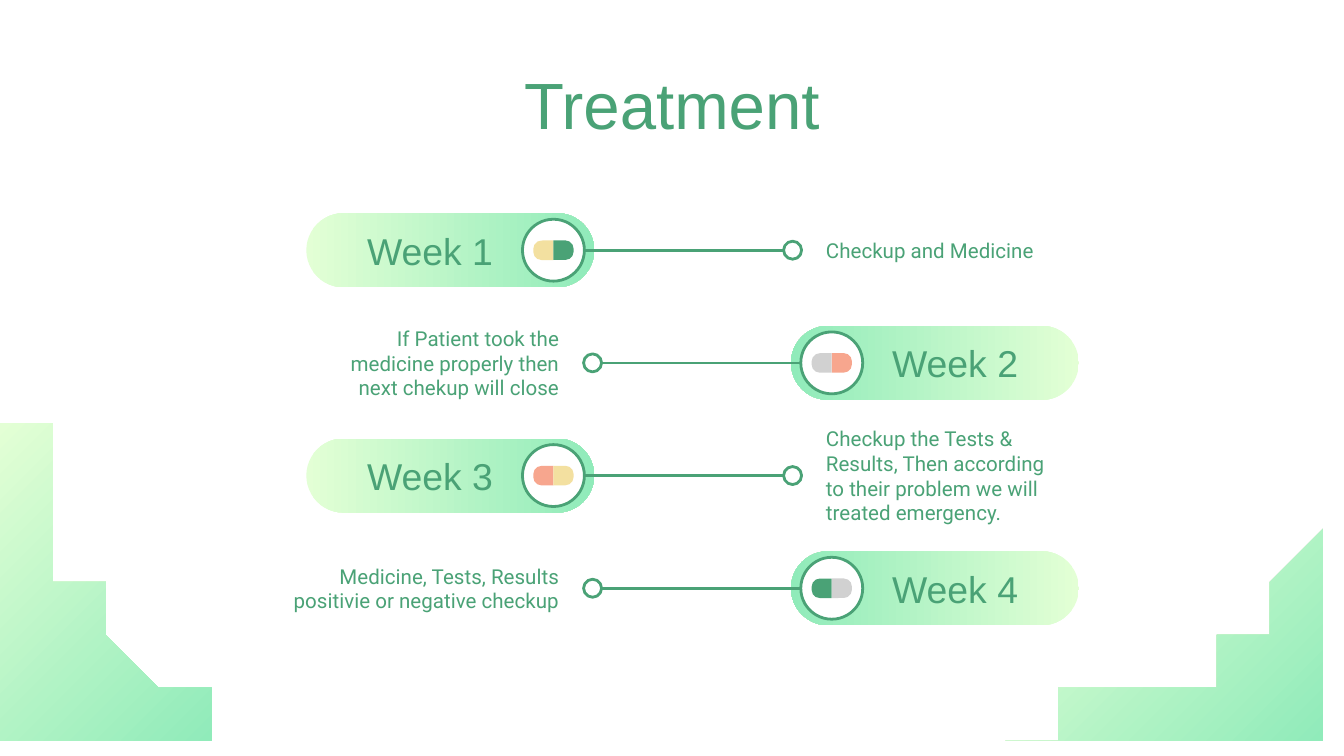
import pptx
import pptx.dml.color
import pptx.enum.shapes
import pptx.enum.text
import pptx.util
from lxml import etree

Cm = pptx.util.Cm
RGBColor = pptx.dml.color.RGBColor
Shape = pptx.enum.shapes.MSO_SHAPE
Align = pptx.enum.text.PP_ALIGN
Anchor = pptx.enum.text.MSO_ANCHOR

GREEN = RGBColor(0x4A, 0xA2, 0x76)
LIME = RGBColor(0xE3, 0xFF, 0xD5)
MINT = RGBColor(0x90, 0xEB, 0xBA)
WHITE = RGBColor(0xFF, 0xFF, 0xFF)
SAND = RGBColor(0xF3, 0xE0, 0xA0)
GREY = RGBColor(0xD1, 0xD1, 0xD1)
CORAL = RGBColor(0xF7, 0xA6, 0x8E)

WIDE, HIGH = 25.4, 14.29
AXIS = 13.09  # the weeks mirror each other about this x
TOP, PITCH = 4.73, 2.13
BAR = 1.4
STEPS = 16


def shade(shape, angle):
    """Fill from lime to mint, without outline or shadow."""
    shape.shadow.inherit = False
    shape.line.fill.background()
    shape.fill.gradient()
    shape.fill.gradient_angle = angle
    for stop, color in zip(shape.fill.gradient_stops, (LIME, MINT)):
        stop.color.rgb = color


def place(kind, x, y, w, h, fill=None, line=None):
    """Add a shape centred on x, y."""
    shape = slide.shapes.add_shape(kind, Cm(x - w / 2), Cm(y - h / 2), Cm(w), Cm(h))
    shape.shadow.inherit = False
    if fill is None:
        shape.fill.background()
    else:
        shape.fill.solid()
        shape.fill.fore_color.rgb = fill
    if line is None:
        shape.line.fill.background()
    else:
        shape.line.color.rgb = line
        shape.line.width = pptx.util.Pt(1.5)
    return shape


deck = pptx.Presentation()
deck.slide_width, deck.slide_height = Cm(WIDE), Cm(HIGH)
slide = deck.slides.add_slide(deck.slide_layouts[5])

# Corner waves: a start, Bezier curves, and the slide corner that closes them
waves = [
    ((WIDE, 10.19), [
        ((24.94, 10.19), (24.18, 10.41), (23.77, 11.73)),
        ((23.27, 13.31), (21.79, 13.51), (21.18, 13.41)),
        ((20.83, 13.36), (20.37, 13.41), (20.09, 13.49)),
        ((19.58, 13.61), (18.97, HIGH), (18.97, HIGH)),
    ], (WIDE, HIGH)),
    ((4.24, HIGH), [
        ((4.22, 13.82), (3.99, 13), (2.67, 12.55)),
        ((1.07, 12.04), (1.27, 9.47), (1.22, 9.17)),
        ((1.09, 8.64), (0.89, 7.95), (0.03, 7.75)),
    ], (0, HIGH)),
]
for start, curves, corner in waves:
    points = [start]
    for one, two, end in curves:
        begin = points[-1]
        for step in range(1, STEPS + 1):
            t = step / STEPS
            u = 1 - t
            points.append(tuple(
                u**3 * a + 3 * u * u * t * b + 3 * u * t * t * c + t**3 * d
                for a, b, c, d in zip(begin, one, two, end)))
    pen = slide.shapes.build_freeform(*start, scale=Cm(1))
    pen.add_line_segments(points[1:] + [corner], close=True)
    shade(pen.convert_to_shape(), 315)

title = slide.shapes.title
title.left, title.top, title.width, title.height = Cm(2), Cm(1.5), Cm(21.4), Cm(0.89)
frame = title.text_frame
frame.text = "Treatment"
frame.auto_size = pptx.enum.text.MSO_AUTO_SIZE.NONE
frame.vertical_anchor = Anchor.MIDDLE
para = frame.paragraphs[0]
para.alignment = Align.CENTER
para.font.size = pptx.util.Pt(35)
para.font.name = "Arial"
para.font.color.rgb = GREEN

# Note, width of the note, colours of the pill
weeks = [
    ("Checkup and Medicine", 5.03, SAND, GREEN),
    ("If Patient took the medicine properly then next chekup will close",
     5.03, GREY, CORAL),
    ("Checkup the Tests & Results, Then according to their problem we will "
     "treated emergency.", 5.03, CORAL, SAND),
    ("Medicine, Tests, Results positivie or negative checkup", 5.64, GREEN, GREY),
]
for i, (note, width, left, right) in enumerate(weeks):
    side = 1 if i % 2 else -1
    y = TOP + i * PITCH

    bar = place(Shape.ROUNDED_RECTANGLE, AXIS + side * 4.58, y, 5.44, BAR)
    bar.adjustments[0] = 0.5
    shade(bar, 180 if side > 0 else 0)

    hub = AXIS + side * 2.63
    place(Shape.OVAL, hub, y, 1.17, 1.17, WHITE, GREEN)
    place(Shape.OVAL, AXIS - side * 1.89, y, 0.34, 0.34, line=GREEN)
    link = slide.shapes.add_connector(
        pptx.enum.shapes.MSO_CONNECTOR.STRAIGHT,
        Cm(AXIS + side * 2.04), Cm(y), Cm(AXIS - side * 1.72), Cm(y))
    link.line.color.rgb = GREEN
    link.line.width = pptx.util.Pt(1.5)
    etree.SubElement(link._element.spPr, pptx.oxml.ns.qn("a:effectLst"))

    for end, color in ((-1, left), (1, right)):
        half = place(Shape.ROUND_2_SAME_RECTANGLE, hub + end * 0.19, y, 0.37, 0.38, color)
        half.adjustments[0] = 0.42
        half.rotation = end * 90

    # Both texts of a week align to the same hand
    texts = [
        (f"Week {i + 1}", 20, "Arial", side * 5.41, 3.78),
        (note, 11, "Roboto", -side * (2.27 + width / 2), width),
    ]
    for text, size, font, shift, w in texts:
        box = slide.shapes.add_textbox(
            Cm(AXIS + shift - w / 2), Cm(y - BAR / 2), Cm(w), Cm(BAR))
        frame = box.text_frame
        frame.word_wrap = True
        frame.vertical_anchor = Anchor.MIDDLE
        frame.margin_left = frame.margin_right = Cm(0.25)
        frame.margin_top = frame.margin_bottom = Cm(0.25)
        frame.text = text
        para = frame.paragraphs[0]
        hand = shift < 0
        para.alignment = Align.RIGHT if hand else Align.LEFT
        para.font.size = pptx.util.Pt(size)
        para.font.name = font
        para.font.color.rgb = GREEN

deck.save("out.pptx")
